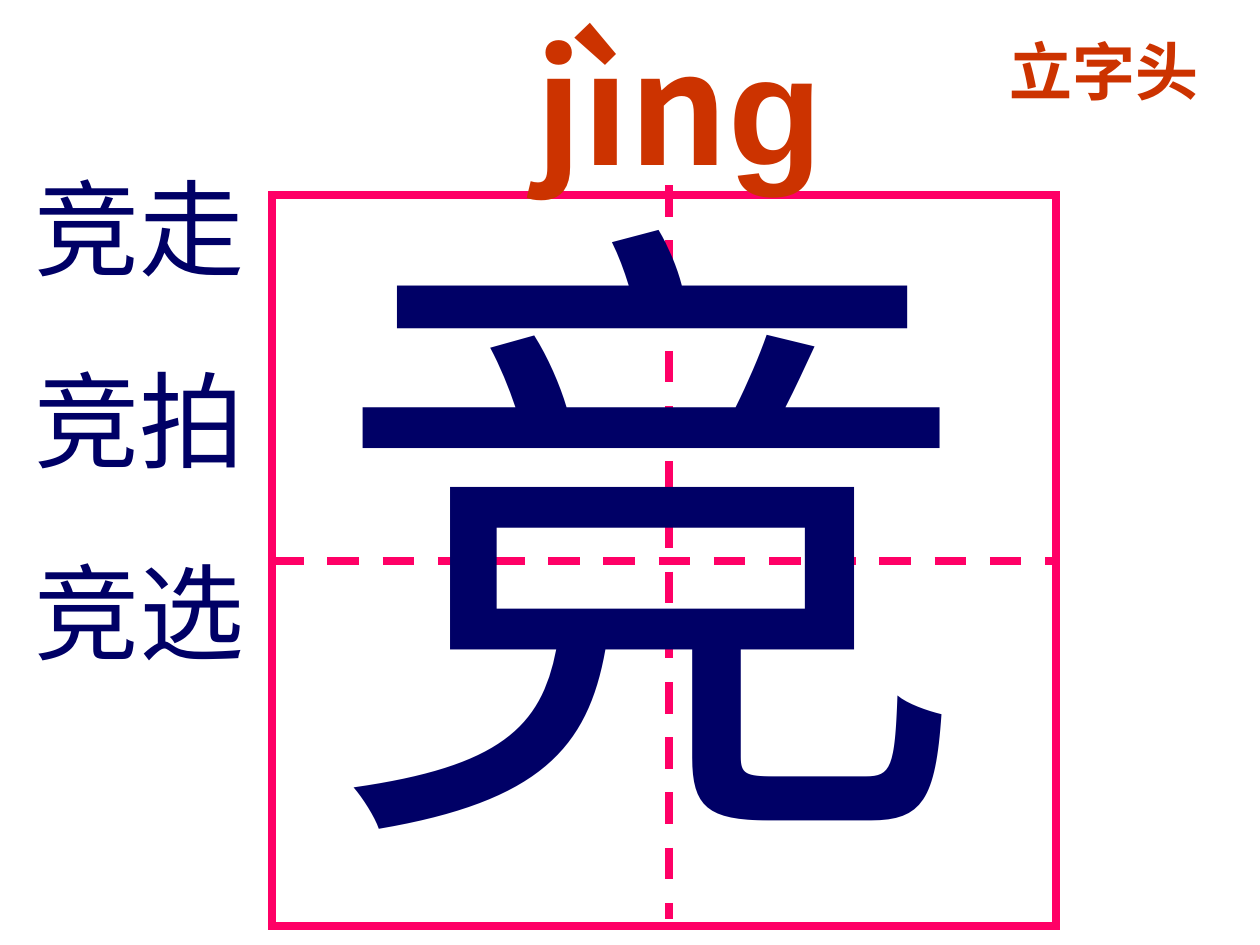
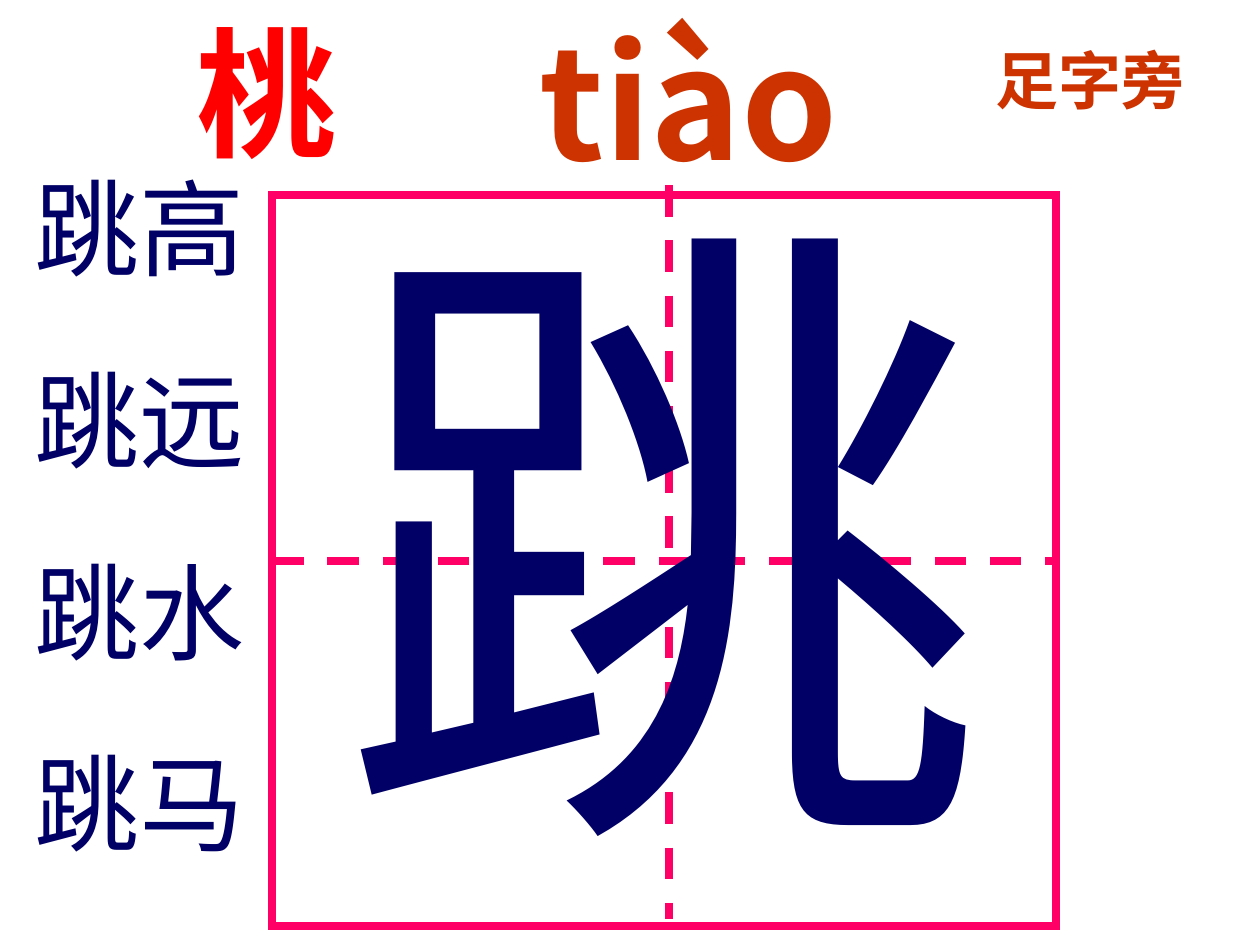
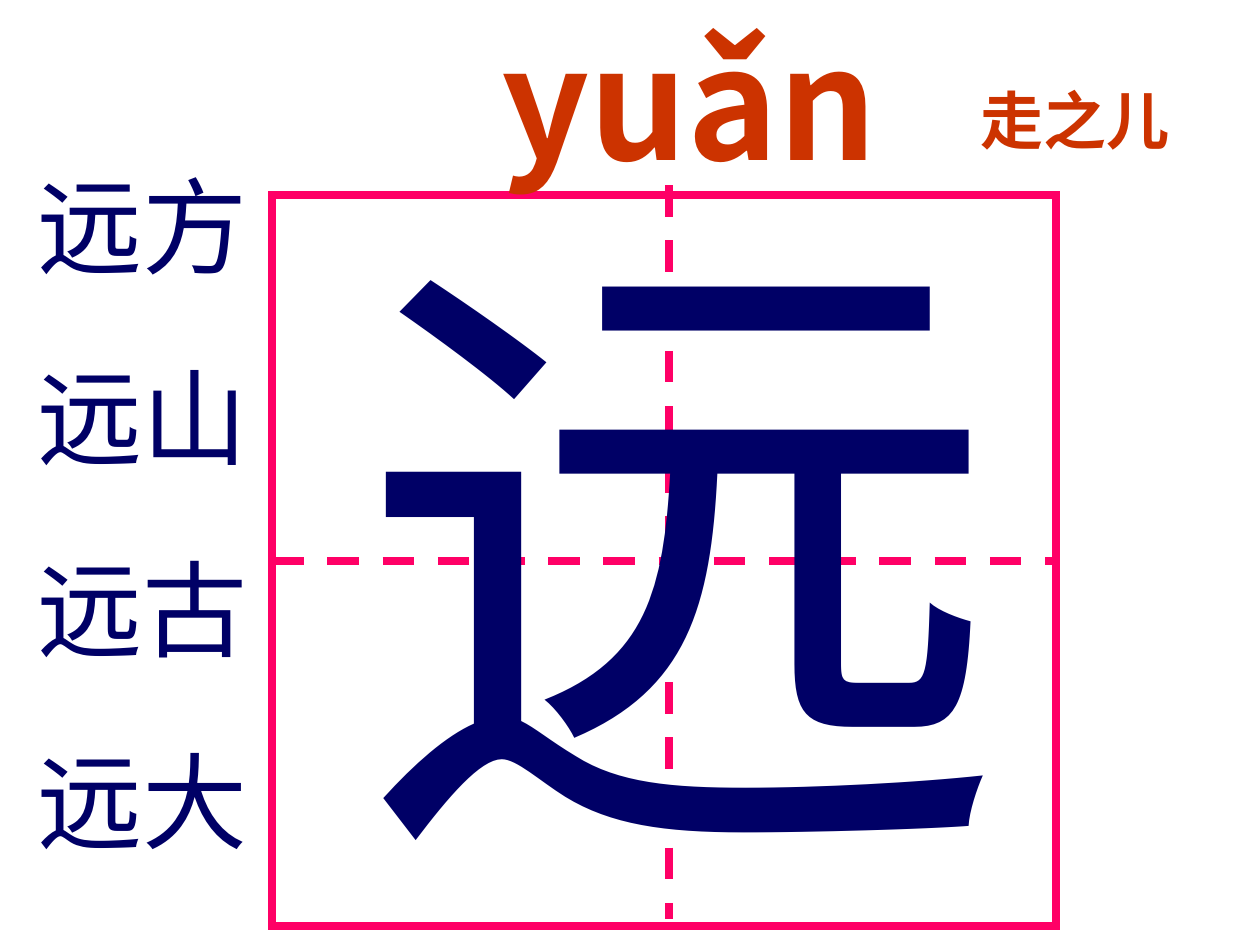
from lxml import etree
from pptx import Presentation
from pptx.dml.color import RGBColor
from pptx.enum.dml import MSO_LINE
from pptx.enum.shapes import MSO_CONNECTOR, MSO_SHAPE
from pptx.enum.text import MSO_ANCHOR, MSO_AUTO_SIZE, PP_ALIGN
from pptx.oxml.ns import qn
from pptx.util import Inches, Pt

NAVY, RUST, RED, PINK = "000066", "CC3300", "FF0000", "FF0066"

# character and position, pinyin runs and box, words and box, radical and box, look-alike
LESSONS = [
    ("竞", (2.5, 0.98), [("jìn", "Noto Sans CJK SC"), ("ɡ", "Arial")], (4.15, 0.04, 2.47, 1.57),
     ["竞走", "竞拍", "竞选"], (0.17, 1.25, 2.67, 4.14), "立字头", (7.91, 0.21, 1.81, 0.7), None),
    ("跳", (2.59, 1.03), [("tiào", "Noto Sans CJK SC")], (4.18, 0, 2.57, 1.57),
     ["跳高", "跳远", "跳水", "跳马"], (0.17, 1.25, 2.67, 5.67), "足字旁", (7.8, 0.28, 2.2, 0.7), "桃"),
    ("远", (2.75, 1.08), [("yuǎn", "Noto Sans CJK SC")], (3.88, 0, 3.18, 1.57),
     ["远方", "远山", "远古", "远大"], (0.2, 1.23, 2.13, 5.67), "走之儿", (7.68, 0.6, 2.13, 0.7), None),
]


def put_text(sp, box, paragraphs, size, color, bold=False, wrap=False, gap=0):
    """Place sp at box and fill it; each paragraph is a list of (text, font) runs."""
    sp.left, sp.top, sp.width, sp.height = (Inches(v) for v in box)
    tf = sp.text_frame
    tf.word_wrap = wrap
    tf.auto_size = MSO_AUTO_SIZE.NONE
    tf.vertical_anchor = MSO_ANCHOR.TOP
    for i, runs in enumerate(paragraphs):
        p = tf.paragraphs[0] if i == 0 else tf.add_paragraph()
        p.alignment = PP_ALIGN.LEFT
        p.space_before = Pt(gap if i else 0)
        for text, font in runs:
            r = p.add_run()
            r.text = text
            r.font.name, r.font.size, r.font.bold = font, Pt(size), bold
            r.font.color.rgb = RGBColor.from_string(color)


def style_line(line, dash=None):
    line.color.rgb = RGBColor.from_string(PINK)
    line.width = Pt(4.5)
    if dash:
        line.dash_style = dash


prs = Presentation()
prs.slide_width, prs.slide_height = Inches(10), Inches(7.5)

for char, char_at, pinyin, pinyin_box, words, words_box, radical, radical_box, lookalike in LESSONS:
    s = prs.slides.add_slide(prs.slide_layouts[1])
    title, body = s.placeholders[0], s.placeholders[1]

    # Writing grid with square corners
    frame = s.shapes.add_shape(MSO_SHAPE.RECTANGLE, Inches(2.16), Inches(1.55), Inches(6.22), Inches(5.8))
    frame.shadow.inherit = False
    frame.fill.background()
    style_line(frame.line)
    etree.SubElement(frame.element.spPr.find(qn("a:ln")), qn("a:miter"), lim="800000")
    for x1, y1, x2, y2 in [(2.16, 4.46, 8.39, 4.46), (5.31, 1.47, 5.31, 7.29)]:
        guide = s.shapes.add_connector(MSO_CONNECTOR.STRAIGHT, Inches(x1), Inches(y1), Inches(x2), Inches(y2))
        style_line(guide.line, MSO_LINE.DASH)
        etree.SubElement(guide.element.spPr, qn("a:effectLst"))
        if y1 == y2:
            guide.begin_connect(frame, 1)
            guide.end_connect(frame, 3)

    big = s.shapes.add_textbox(0, 0, 0, 0)
    put_text(big, (*char_at, 5.34, 6.27), [[(char, "Times New Roman")]], 370, NAVY)

    # Pinyin and words stand in front of the grid
    tree = frame.element.getparent()
    tree.append(title.element)
    tree.append(body.element)
    put_text(title, pinyin_box, [pinyin], 88, RUST, bold=True)
    title.text_frame.margin_right = 0  # keeps the pinyin on one line
    put_text(body, words_box, [[(word, "Arial")] for word in words], 60, NAVY, wrap=True, gap=37.5)
    for p in body.text_frame.paragraphs:
        pPr = p._p.get_or_add_pPr()
        pPr.set("marL", "0")
        pPr.set("indent", "0")
        etree.SubElement(pPr, qn("a:buNone"))

    if lookalike:
        put_text(s.shapes.add_textbox(0, 0, 0, 0), (1.46, 0, 1.31, 1.44),
                 [[(lookalike, "DejaVu Sans")]], 80, RED, bold=True)
    put_text(s.shapes.add_textbox(0, 0, 0, 0), radical_box,
             [[(radical, "DejaVu Sans")]], 36, RUST, bold=True, wrap=True)

prs.save("out.pptx")
